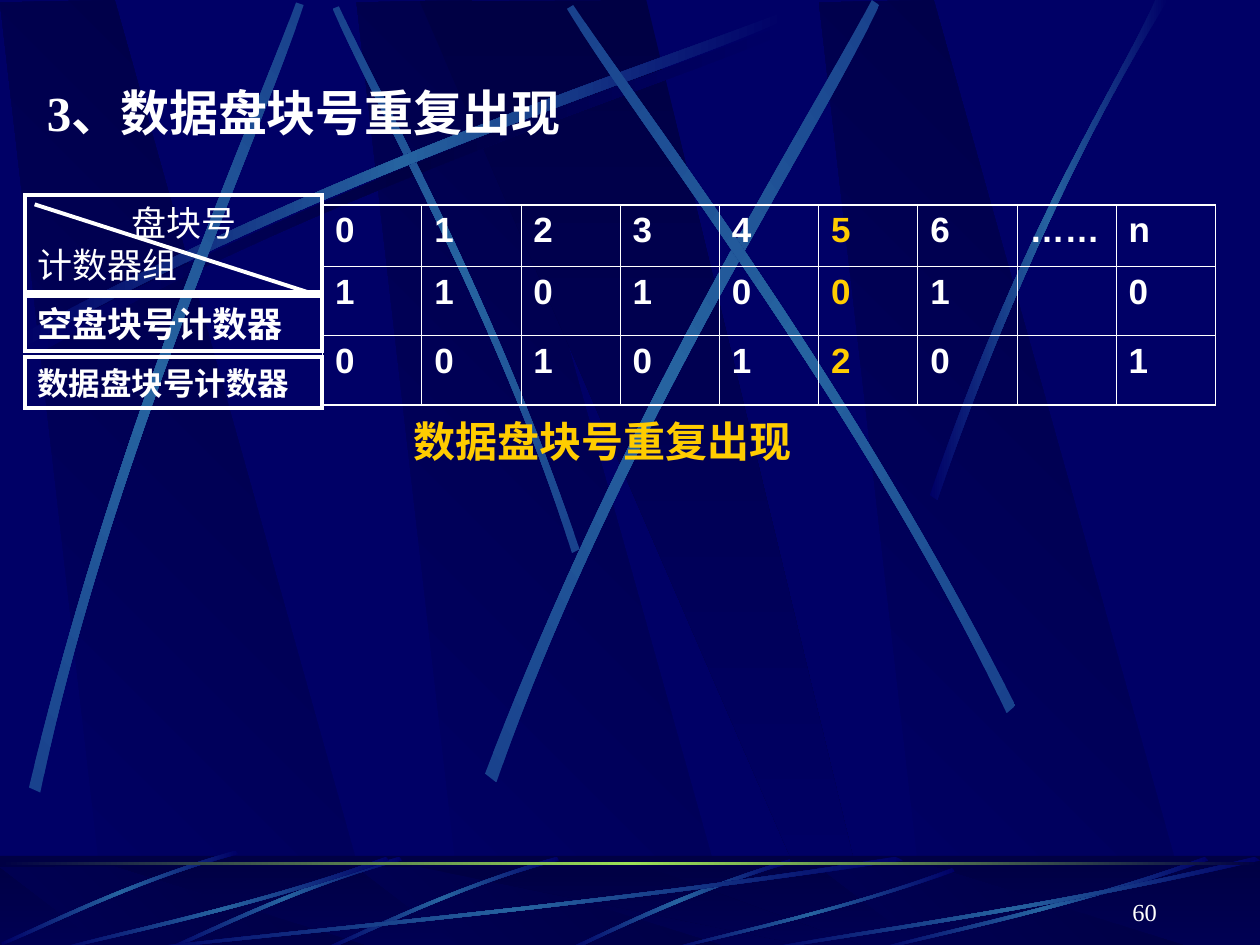
from lxml import etree
from pptx import Presentation
from pptx import util as u
from pptx.dml.color import RGBColor
from pptx.enum import shapes, text
from pptx.oxml import ns

NAVY = RGBColor(0x00, 0x00, 0x66)
DARK = RGBColor(0x00, 0x00, 0x44)
BLUE = RGBColor(0x26, 0x63, 0xA0)
MID_BLUE = RGBColor(0x19, 0x42, 0x8D)
GREEN = RGBColor(0x9C, 0xE1, 0x57)
WHITE = RGBColor(0xFF, 0xFF, 0xFF)
GOLD = RGBColor(0xFF, 0xCC, 0x00)
SERIF = "Times New Roman"
INCH = 2.54
FINE = 1000


def paint(shape, colors, angle=0):
    shape.shadow.inherit = False
    shape.line.fill.background()
    shape.fill.gradient()
    gradient = shape._element.spPr.find(ns.qn("a:gradFill"))
    stops = gradient.find(ns.qn("a:gsLst"))
    for stop in list(stops):
        stops.remove(stop)
    for i, color in enumerate(colors):
        stop = etree.SubElement(stops, ns.qn("a:gs"), pos=str(100000 * i // (len(colors) - 1)))
        etree.SubElement(stop, ns.qn("a:srgbClr"), val=str(color))
    gradient.find(ns.qn("a:lin")).set("ang", str(angle * 60000))


def write(frame, *lines, size=20, bold=True, color=WHITE, font=SERIF,
          align=text.PP_ALIGN.LEFT, wrap=True):
    frame.word_wrap = wrap
    for i, line in enumerate(lines):
        paragraph = frame.paragraphs[0] if i == 0 else frame.add_paragraph()
        paragraph.alignment = align
        run = paragraph.add_run()
        run.text = line
        run.font.size = u.Pt(size)
        run.font.bold = bold
        run.font.name = font
        run.font.color.rgb = color


prs = Presentation()
prs.slide_width, prs.slide_height = u.Cm(25.4), u.Cm(19.05)
master = prs.slide_master
master.background.fill.solid()
master.background.fill.fore_color.rgb = NAVY
slide = prs.slides.add_slide(prs.slide_layouts[5])
canvas = slide.shapes

beam = [(0.86, 7.5), (3.02, 7.52), (0.91, 0), (0, 0.02)]
wide_beam = [(3.33, 0.01), (6.58, 7.51), (6.94, 7.51), (5.13, 0)]
beams = [([(x + dx, y) for x, y in beam], (NAVY, DARK), 315) for dx in (2.83, 0, 6.5)]
beams.append((wide_beam, (DARK, NAVY), 90))
floor_beams = [([(x, 6.88 + y * 0.088) for x, y in points], colors, angle)
               for points, colors, angle in beams]

arc = [(0.14, 2.67), (2.78, 1.25), (5.18, 0.51), (6.2, 0.1),
       (6.23, 0.16), (5.22, 0.61), (2.48, 1.43), (0.17, 2.77)]
fade = (NAVY, BLUE, NAVY)
soft = (MID_BLUE, BLUE, MID_BLUE)
ribbons = [
    ([(x + 0.06, y + 0.08) for x, y in arc], (NAVY, DARK, NAVY), 0),
    ([(4.6, 4.36), (3.91, 2.34), (3.02, 0.77), (2.69, 0.05),
      (2.64, 0.07), (2.95, 0.79), (3.98, 2.58), (4.54, 4.39)], soft, 45),
    (arc, fade, 0),
    ([(0.23, 6.25), (0.93, 3.34), (1.97, 1.05), (2.35, 0.02),
      (2.41, 0.04), (2.07, 1.08), (0.86, 3.68), (0.32, 6.29)], soft, 312),
    ([(3.85, 6.14), (4.98, 3.2), (6.38, 1.02), (6.92, 0),
      (6.98, 0.04), (6.49, 1.08), (4.86, 3.55), (3.94, 6.21)], soft, 322),
    ([(8.06, 5.6), (6.7, 2.93), (5.16, 0.95), (4.55, 0.04),
      (4.5, 0.07), (5.07, 1.01), (6.85, 3.25), (7.99, 5.66)], soft, 35),
    ([(7.38, 3.93), (8.14, 1.73), (8.88, 0.66), (9.17, 0),
      (9.27, 0), (8.36, 1.45), (7.69, 3.22), (7.44, 3.97)], fade, 0),
]

floor_ribbons = [([(6.27, 6.82), (5.37, 7.09), (4.77, 7.42), (4.48, 7.54),
                   (4.53, 7.55), (4.9, 7.37), (5.71, 7), (6.28, 6.85)], fade, 0)]
floor_arc = [(4.42, 6.8), (3.55, 7.05), (2.87, 7.4), (2.56, 7.53),
             (2.57, 7.55), (2.88, 7.43), (3.65, 7.03), (4.44, 6.83)]
for dx, dy in ((0, 0), (-1.25, 0), (-2.55, -0.05)):
    floor_ribbons.append(([(x + dx, y + dy) for x, y in floor_arc], fade, 0))
sweep = [(1, 0.04), (0.57, 0.57), (0.17, 0.85), (0.01, 1),
         (0, 0.99), (0.16, 0.81), (0.61, 0.51), (0.99, 0)]
for left, top, width in ((1, 6.8, 6.17), (0.42, 6.8, 2.67), (5.27, 6.89, 2.31),
                         (6.92, 6.8, 2.67), (6, 6.8, 4)):
    floor_ribbons.append(([(left + width * x, top + (7.55 - top) * y) for x, y in sweep], fade, 0))

backdrop = canvas.add_group_shape()
for layer in (beams, ribbons, "floor", floor_beams, "veil", floor_ribbons):
    if layer in ("floor", "veil"):
        floor = backdrop.shapes.add_shape(shapes.MSO_SHAPE.RECTANGLE,
                                          0, u.Cm(17.25), u.Cm(25.4), u.Cm(1.9))
        paint(floor, (DARK, NAVY), 90)
        if layer == "veil":
            floor.fill.solid()
            floor.fill.fore_color.rgb = DARK
            tint = floor._element.spPr.find(ns.qn("a:solidFill"))[0]
            etree.SubElement(tint, ns.qn("a:alpha"), val="50000")
        continue
    for points, colors, angle in layer:
        outline = [(x * FINE, y * FINE) for x, y in points]
        builder = backdrop.shapes.build_freeform(*outline[0], scale=u.Cm(INCH) / FINE)
        builder.add_line_segments(outline[1:], close=True)
        band = builder.convert_to_shape()
        paint(band, colors, angle)
        if len(points) == 8:
            segments = list(band._element.iter(ns.qn("a:lnTo")))
            for edge in (segments[:3], segments[4:7]):
                curve = etree.Element(ns.qn("a:cubicBezTo"))
                edge[0].addprevious(curve)
                for segment in edge:
                    curve.append(segment[0])
                    segment.getparent().remove(segment)

horizon = backdrop.shapes.add_shape(shapes.MSO_SHAPE.RECTANGLE,
                                    0, u.Cm(17.37), u.Cm(25.4), u.Cm(0.06))
paint(horizon, (DARK, GREEN, DARK))
master.shapes._spTree.insert(2, backdrop._element)

counts = [["0", "1", "2", "3", "4", "5", "6", "……", "n"],
          ["1", "1", "0", "1", "0", "0", "1", "", "0"],
          ["0", "0", "1", "0", "1", "2", "0", "", "1"]]
repeated_block = 5
counters = canvas.add_table(3, 9, u.Cm(6.5), u.Cm(4.13), u.Cm(18), u.Cm(4.04)).table
counters.first_row = counters.horz_banding = False
for column in counters.columns:
    column.width = u.Cm(2)
for row, height in zip(counters.rows, (1.24, 1.4, 1.4)):
    row.height = u.Cm(height)
for r, values in enumerate(counts):
    for c, value in enumerate(values):
        cell = counters.cell(r, c)
        if value:
            write(cell.text_frame, value, font="Arial",
                  color=GOLD if c == repeated_block else WHITE)
        borders = cell._tc.get_or_add_tcPr()
        for side, outer in (("L", c == 0), ("R", c == 8), ("T", r == 0), ("B", r == 2)):
            border = etree.SubElement(borders, ns.qn("a:ln" + side),
                                      w=str(u.Pt(1.08 if outer else 0.45)))
            ink = etree.SubElement(border, ns.qn("a:solidFill"))
            etree.SubElement(ink, ns.qn("a:srgbClr"), val=str(WHITE))
        cell.fill.background()

for top, height, lines, size, bold in (
        (3.94, 1.95, ("盘块号", "计数器组"), 20, False),
        (5.97, 1.11, ("空盘块号计数器",), 20, True),
        (7.2, 1.02, ("数据盘块号计数器",), 18, True)):
    label = canvas.add_shape(shapes.MSO_SHAPE.RECTANGLE, u.Cm(0.5), u.Cm(top), u.Cm(6), u.Cm(height))
    label.shadow.inherit = False
    label.fill.background()
    label.line.color.rgb = WHITE
    label.line.width = u.Pt(2.25)
    etree.SubElement(label._element.spPr.find(ns.qn("a:ln")), ns.qn("a:miter"), lim="800000")
    label.text_frame.vertical_anchor = text.MSO_ANCHOR.MIDDLE
    write(label.text_frame, *lines, size=size, bold=bold)
    if len(lines) == 2:
        label.text_frame.vertical_anchor = text.MSO_ANCHOR.TOP
        label.text_frame.paragraphs[0]._p.get_or_add_pPr().set("marL", str(u.Cm(1.9)))
        diagonal = canvas.add_connector(shapes.MSO_CONNECTOR.STRAIGHT,
                                        u.Cm(0.7), u.Cm(4.12), u.Cm(6.3), u.Cm(5.92))
        diagonal.line.color.rgb = WHITE
        diagonal.line.width = u.Pt(2.25)
        etree.SubElement(diagonal._element.spPr, ns.qn("a:effectLst"))

conclusion = canvas.add_textbox(u.Cm(8.09), u.Cm(8.25), u.Cm(8.13), u.Cm(1.27))
write(conclusion.text_frame, "数据盘块号重复出现", size=24, color=GOLD, wrap=False)

heading = canvas.title
heading.left, heading.top, heading.width, heading.height = u.Cm(0.69), u.Cm(1.54), u.Cm(24), u.Cm(1.45)
heading.text_frame.vertical_anchor = text.MSO_ANCHOR.TOP
heading.text_frame.auto_size = text.MSO_AUTO_SIZE.NONE
write(heading.text_frame, "3、数据盘块号重复出现", size=28)
canvas._spTree.append(heading._element)

page_number = canvas.add_textbox(u.Cm(18.29), u.Cm(17.53), u.Cm(5.28), u.Cm(1.27))
page_number.text_frame.vertical_anchor = text.MSO_ANCHOR.BOTTOM
write(page_number.text_frame, "60", size=14, bold=False, align=text.PP_ALIGN.RIGHT)

prs.save("out.pptx")
